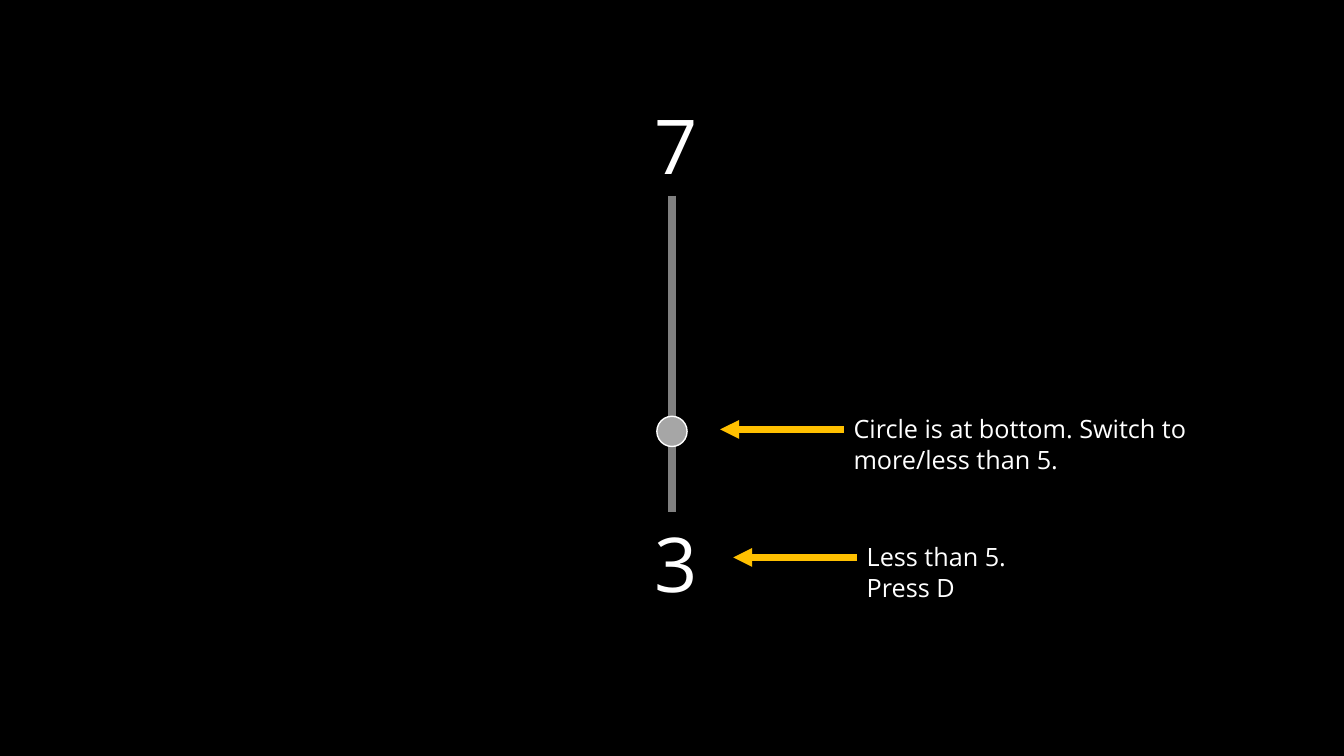
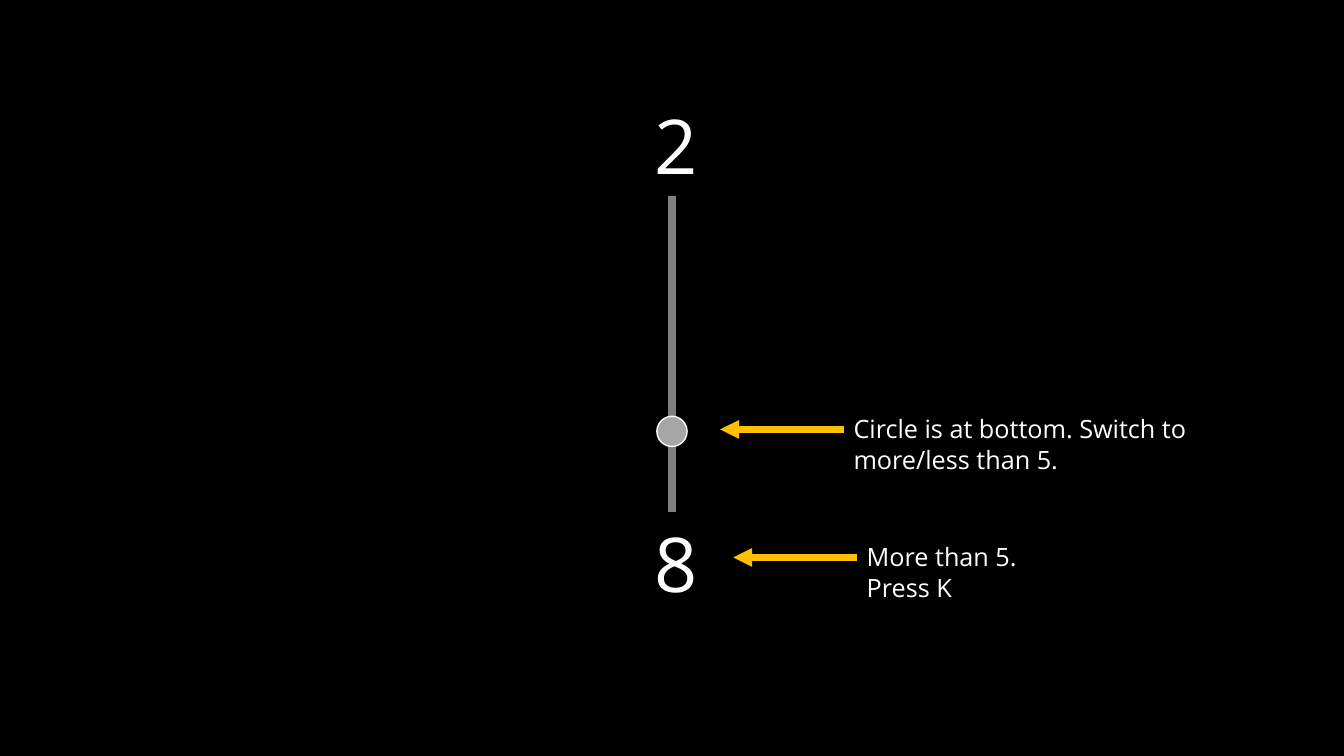
from dataclasses import dataclass

from lxml import etree
from pptx import Presentation
from pptx.dml.color import RGBColor
from pptx.enum.shapes import MSO_CONNECTOR, MSO_SHAPE
from pptx.enum.text import MSO_ANCHOR, MSO_AUTO_SIZE, PP_ALIGN
from pptx.oxml.ns import qn
from pptx.slide import Slide
from pptx.util import Emu, Inches, Pt

STRAIGHT = MSO_CONNECTOR.STRAIGHT
OVAL = MSO_SHAPE.OVAL
TOP = MSO_ANCHOR.TOP
FIT_SHAPE = MSO_AUTO_SIZE.SHAPE_TO_FIT_TEXT
LEFT = PP_ALIGN.LEFT


@dataclass(frozen=True)
class Theme:
    font: str = "Open Sans"
    background: str = "000000"
    text: str = "FFFFFF"
    bar: str = "808080"
    circle: str = "A6A6A6"
    arrow: str = "FFC000"
    digit_size: float = 54
    hint_size: float = 18
    bar_weight: float = 6
    arrow_weight: float = 4.5
    outline_weight: float = 1


@dataclass(frozen=True)
class Area:
    column: float
    row: float
    columns: float
    rows: float


@dataclass(frozen=True)
class Hint:
    text: str
    column: float
    row: float
    columns: float


@dataclass(frozen=True)
class Trial:
    top_digit: str
    bottom_digit: str
    answer: Hint


THEME = Theme()
SLIDE_WIDTH, SLIDE_HEIGHT = Inches(13.33), Inches(7.5)
GRID_COLUMNS, GRID_ROWS = 160, 90
CENTRE = GRID_COLUMNS / 2
BAR_TOP, BAR_BOTTOM = 23.28, 60.96
CIRCLE_ROW, CIRCLE_SIZE = 51.36, 3.6
DIGIT_COLUMN, DIGIT_COLUMNS, DIGIT_ROWS = 76.68, 6.48, 12.12
ARROW_COLUMNS = 14.7
HINT_RISE, HINT_ROWS = 2.45, 4.8

SWITCH_HINT = Hint(
    "Circle is at bottom. Switch to more/less than 5.", 100.44, 51.12, 54.96
)
TRIALS = (
    Trial("7", "3", Hint("Less than 5. Press D", 102, 66.36, 24.84)),
    Trial("2", "8", Hint("More than 5. Press K", 102, 66.36, 26.04)),
)


def across(columns: float) -> Emu:
    return Emu(round(SLIDE_WIDTH * columns / GRID_COLUMNS))


def down(rows: float) -> Emu:
    return Emu(round(SLIDE_HEIGHT * rows / GRID_ROWS))


def frame(area: Area) -> tuple[Emu, Emu, Emu, Emu]:
    return across(area.column), down(area.row), across(area.columns), down(area.rows)


def colour(value: str) -> RGBColor:
    return RGBColor.from_string(value)


def apply_format(target: object, values: dict[str, object]) -> None:
    for name, value in values.items():
        setattr(target, name, value)


def add_text(page: Slide, text: str, area: Area, size: float) -> None:
    box = page.shapes.add_textbox(*frame(area))
    apply_format(
        box.text_frame,
        {"word_wrap": True, "auto_size": FIT_SHAPE, "vertical_anchor": TOP},
    )
    para = box.text_frame.paragraphs[0]
    para.alignment = LEFT
    span = para.add_run()
    span.text = text
    apply_format(span.font, {"name": THEME.font, "size": Pt(size)})
    span.font.color.rgb = colour(THEME.text)


def add_line(
    page: Slide,
    start: tuple[float, float],
    end: tuple[float, float],
    line_colour: str,
    weight: float,
    arrowhead: bool = False,
) -> None:
    line = page.shapes.add_connector(
        STRAIGHT, across(start[0]), down(start[1]), across(end[0]), down(end[1])
    )
    line.line.color.rgb = colour(line_colour)
    line.line.width = Pt(weight)
    properties = line._element.spPr
    if arrowhead:
        etree.SubElement(properties.get_or_add_ln(), qn("a:tailEnd"), type="triangle")
    etree.SubElement(properties, qn("a:effectLst"))


def add_circle(page: Slide) -> None:
    half = CIRCLE_SIZE / 2
    area = Area(CENTRE - half, CIRCLE_ROW - half, CIRCLE_SIZE, CIRCLE_SIZE)
    circle = page.shapes.add_shape(OVAL, *frame(area))
    circle.shadow.inherit = False
    circle.fill.solid()
    circle.fill.fore_color.rgb = colour(THEME.circle)
    circle.line.color.rgb = colour(THEME.text)
    circle.line.width = Pt(THEME.outline_weight)


def add_digit(page: Slide, digit: str, row: float) -> None:
    area = Area(DIGIT_COLUMN, row, DIGIT_COLUMNS, DIGIT_ROWS)
    add_text(page, digit, area, THEME.digit_size)


def add_hint(page: Slide, hint: Hint) -> None:
    start = (hint.column, hint.row)
    end = (hint.column - ARROW_COLUMNS, hint.row)
    add_line(page, start, end, THEME.arrow, THEME.arrow_weight, arrowhead=True)
    area = Area(hint.column, hint.row - HINT_RISE, hint.columns, HINT_ROWS)
    add_text(page, hint.text, area, THEME.hint_size)


def add_trial(deck: Presentation, trial: Trial) -> None:
    page = deck.slides.add_slide(deck.slide_layouts[6])
    page.background.fill.solid()
    page.background.fill.fore_color.rgb = colour(THEME.background)
    add_digit(page, trial.top_digit, BAR_TOP - DIGIT_ROWS)
    add_line(
        page, (CENTRE, BAR_TOP), (CENTRE, BAR_BOTTOM), THEME.bar, THEME.bar_weight
    )
    add_circle(page)
    add_hint(page, trial.answer)
    add_digit(page, trial.bottom_digit, BAR_BOTTOM)
    add_hint(page, SWITCH_HINT)


def main() -> None:
    deck = Presentation()
    apply_format(deck, {"slide_width": SLIDE_WIDTH, "slide_height": SLIDE_HEIGHT})
    for trial in TRIALS:
        add_trial(deck, trial)
    deck.save("out.pptx")


main()
